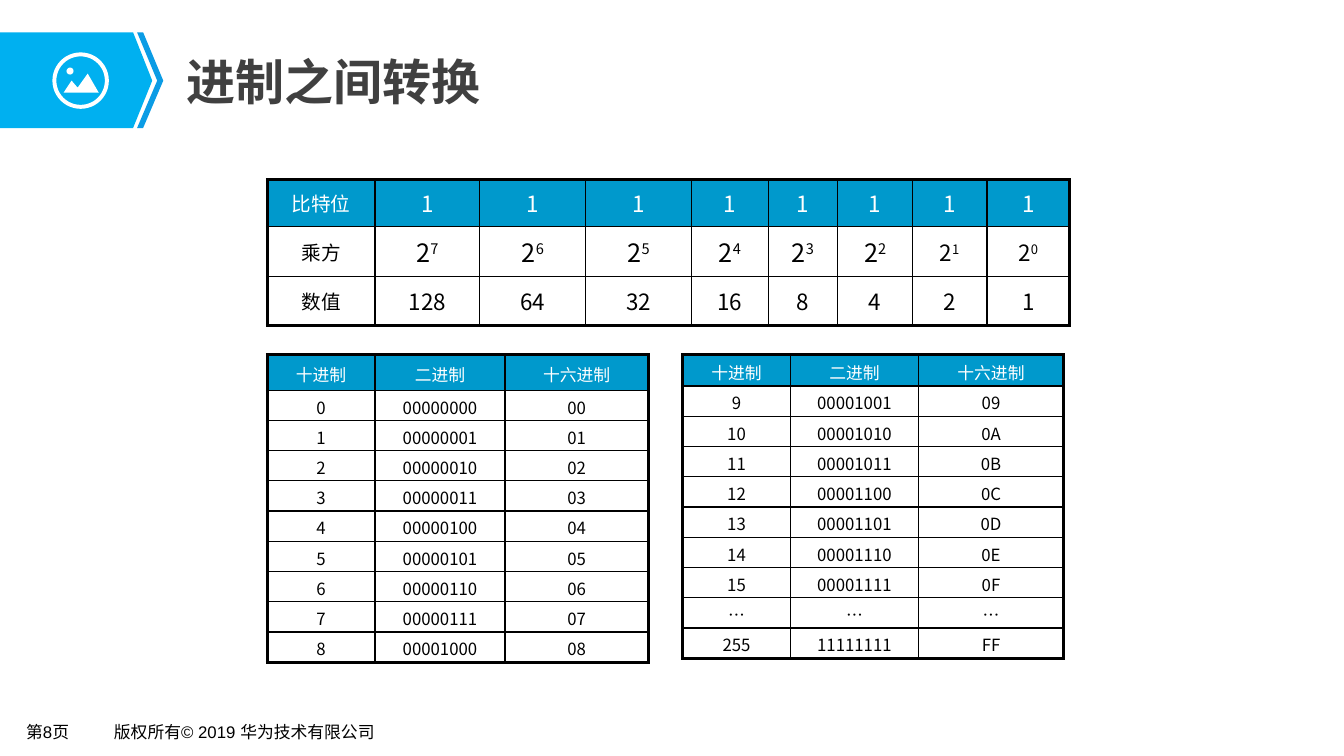
from dataclasses import dataclass

from lxml.etree import SubElement
from pptx import Presentation
from pptx.dml.color import RGBColor
from pptx.enum.lang import MSO_LANGUAGE_ID
from pptx.enum.shapes import MSO_SHAPE
from pptx.enum.text import MSO_ANCHOR, PP_ALIGN
from pptx.oxml.ns import qn
from pptx.util import Pt

PX = 9144  # 100 px to the inch
COLORS = {
    "white": "FFFFFF",
    "black": "000000",
    "title": "404040",
    "banner": "00B0F0",
    "chevron": "0B9CE5",
    "header": "0099CC",
}
CJK = "Noto Sans CJK SC"
OUTER, INNER = 2.25, 1

presentation = Presentation()
presentation.slide_width, presentation.slide_height = 1333 * PX, 750 * PX
slide = presentation.slides.add_slide(presentation.slide_layouts[6])


@dataclass
class Entry:
    text: str
    size: int
    exponent: str = ""


@dataclass
class Grid:
    left: int
    top: int
    columns: list[int]
    heights: list[int]
    rows: list[list[Entry]]
    pad_top: int = 5
    pad_bottom: int = 5


@dataclass
class Label:
    text: str
    box: tuple[int, int, int, int]
    margins: tuple[int, int]
    size: int
    font: str
    color: str
    bold: bool = False
    wrap: bool = False


def rgb(name: str) -> RGBColor:
    return RGBColor.from_string(COLORS[name])


def write(frame, text: str, *, size: int, color: str, font: str = CJK,
          bold: bool = False, align=PP_ALIGN.LEFT, exponent: str = "") -> None:
    paragraph = frame.paragraphs[0]
    paragraph.alignment = align
    for part in filter(None, (text, exponent)):
        run = paragraph.add_run()
        run.text = part
        run.font.size, run.font.bold, run.font.name = Pt(size), bold, font
        run.font.language_id = MSO_LANGUAGE_ID.SIMPLIFIED_CHINESE
        run.font.color.rgb = rgb(color)
        properties = run.font._element
        SubElement(properties, qn("a:ea")).set("typeface", CJK)
    if exponent:
        properties.set("baseline", "30000")


def paint(shape, color: str) -> None:
    shape.shadow.inherit = False
    shape.fill.solid()
    shape.fill.fore_color.rgb = rgb(color)
    shape.line.fill.background()


def draw_outline(points: list[tuple[int, int]], color: str) -> None:
    builder = slide.shapes.build_freeform(*points[0], scale=PX)
    builder.add_line_segments(points[1:], close=True)
    paint(builder.convert_to_shape(), color)


def draw_preset(kind, box: tuple[int, int, int, int], color: str):
    shape = slide.shapes.add_shape(kind, *(n * PX for n in box))
    paint(shape, color)
    return shape


def draw_label(label: Label) -> None:
    frame = slide.shapes.add_textbox(*(n * PX for n in label.box)).text_frame
    frame.word_wrap = label.wrap
    frame.vertical_anchor = MSO_ANCHOR.MIDDLE
    side, edge = (n * PX for n in label.margins)
    frame.margin_left = frame.margin_right = side
    frame.margin_top = frame.margin_bottom = edge
    write(frame, label.text, size=label.size, color=label.color,
          font=label.font, bold=label.bold)


def set_borders(cell, widths: dict[str, float]) -> None:
    properties = cell._tc.get_or_add_tcPr()
    for side, width in widths.items():
        border = SubElement(properties, qn(f"a:ln{side}"), w=str(Pt(width)))
        fill = SubElement(border, qn("a:solidFill"))
        SubElement(fill, qn("a:srgbClr"), val=COLORS["black"])


def draw_grid(grid: Grid) -> None:
    last_row, last_column = len(grid.heights) - 1, len(grid.columns) - 1
    table = slide.shapes.add_table(
        last_row + 1, last_column + 1, grid.left * PX, grid.top * PX,
        sum(grid.columns) * PX, sum(grid.heights) * PX).table
    table.horz_banding = False
    for column, width in zip(table.columns, grid.columns):
        column.width = width * PX
    for r, (row, height, entries) in enumerate(
            zip(table.rows, grid.heights, grid.rows)):
        row.height = height * PX
        for c, entry in enumerate(entries):
            cell = table.cell(r, c)
            cell.vertical_anchor = MSO_ANCHOR.MIDDLE
            cell.margin_top = grid.pad_top * PX
            cell.margin_bottom = grid.pad_bottom * PX
            set_borders(cell, {
                "L": OUTER if c == 0 else INNER,
                "R": OUTER if c == last_column else INNER,
                "T": OUTER if r == 0 else INNER,
                "B": OUTER if r == last_row else INNER,
            })
            cell.fill.solid()
            cell.fill.fore_color.rgb = rgb("white" if r else "header")
            write(cell.text_frame, entry.text, size=entry.size,
                  color="black" if r else "white",
                  align=PP_ALIGN.CENTER, exponent=entry.exponent)


def conversions(numbers: list[int | None]) -> list[list[Entry]]:
    """Decimal, binary and hexadecimal rows; None stands for the gap."""
    texts = [("十进制", "二进制", "十六进制")]
    texts += [("…",) * 3 if n is None else (str(n), f"{n:08b}", f"{n:02X}")
              for n in numbers]
    return [[Entry(text, 12) for text in row] for row in texts]


# Banner with its round icon
draw_outline([(132, 127), (0, 127), (0, 32), (132, 32), (151, 80)], "banner")
draw_outline([(142, 32), (136, 32), (156, 80), (136, 127), (142, 127),
              (162, 80)], "chevron")
ring = draw_preset(MSO_SHAPE.DONUT, (52, 52, 56, 56), "white")
ring.adjustments[0] = 0.07
draw_outline([(63, 92), (71, 80), (77, 87), (87, 73), (98, 92)], "white")
draw_preset(MSO_SHAPE.OVAL, (66, 67, 7, 7), "white")

# Title and footer
for label in (
    Label("进制之间转换", (174, 45, 1075, 70), (11, 0), 35, CJK, "title",
          bold=True, wrap=True),
    Label("第8页", (17, 711, 74, 29), (9, 4), 12, "Arial", "black"),
    Label("版权所有© 2019 华为技术有限公司", (104, 711, 285, 29), (9, 4), 12,
          "Arial", "black"),
):
    draw_label(label)

# Bit weights, then the two conversion tables
exponents = range(7, -1, -1)
bit_rows = [
    [Entry("比特位", 14)] + [Entry("1", 16) for _ in exponents],
    [Entry("乘方", 14)] + [Entry("2", 18 if e > 1 else 16, str(e))
                         for e in exponents],
    [Entry("数值", 14)] + [Entry(str(2 ** e), 16) for e in exponents],
]
for grid in (
    Grid(265, 178, [107, 104, 105, 105, 76, 69, 74, 74, 82], [47, 49, 49],
         bit_rows),
    Grid(265, 352, [107, 129, 142], [35] + [30] * 9,
         conversions([*range(9)]), pad_top=4, pad_bottom=1),
    Grid(677, 352, [107, 127, 144], [31] + [30] * 9,
         conversions([*range(9, 16), None, 255]), pad_top=4, pad_bottom=1),
):
    draw_grid(grid)

presentation.save("out.pptx")
